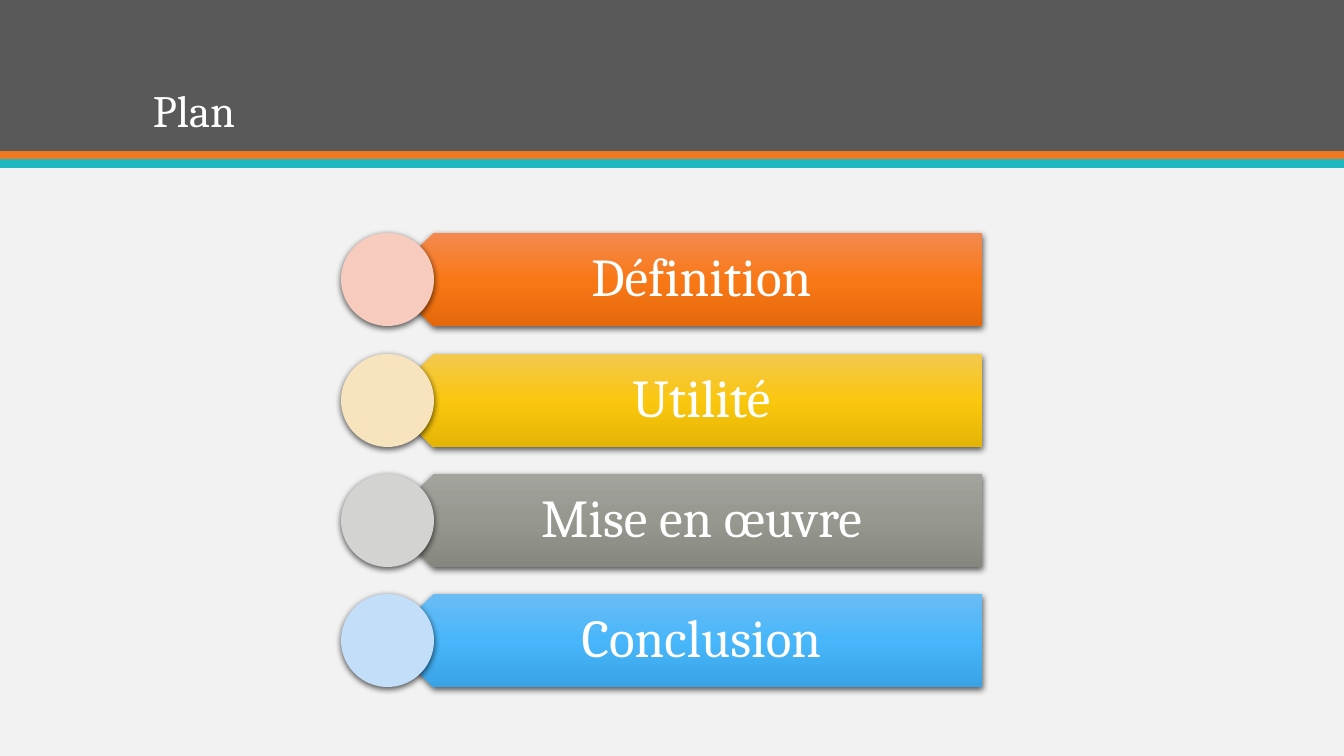
import dataclasses

import pptx
import pptx.dml.color
import pptx.enum.shapes
import pptx.enum.text
import pptx.oxml
import pptx.oxml.ns
import pptx.util

SHAPE = pptx.enum.shapes.MSO_SHAPE
ANCHOR = pptx.enum.text.MSO_ANCHOR
ALIGN = pptx.enum.text.PP_ALIGN


@dataclasses.dataclass(frozen=True)
class Theme:
    font: str = "Cambria"
    title_size: int = 32
    item_size: int = 38
    text: str = "FFFFFF"
    background: str = "F2F2F2"
    header: str = "595959"
    upper_stripe: str = "EF7920"
    lower_stripe: str = "1EB8C1"


THEME = Theme()
ITEMS = [
    ("Définition", ("F38950", "F97816", "E5690C"), "F7CBBD"),
    ("Utilité", ("F3C84E", "FAC70E", "E5B506"), "F7E3BD"),
    ("Mise en œuvre", ("A2A39C", "969890", "86887F"), "D3D4D1"),
    ("Conclusion", ("6ABCF5", "48B6FA", "39A3E5"), "C2DEF9"),
]
FIRST_TOP, PITCH, BAR_HEIGHT = 233, 120.5, 93


def px(n):
    return round(n * 914400 / 100.8)


def rgb(value):
    return pptx.dml.color.RGBColor.from_string(value)


def write_text(tf, text, *, size, align, anchor, insets=(10, 5, 10, 5), after=0):
    tf.word_wrap = True
    tf.auto_size = pptx.enum.text.MSO_AUTO_SIZE.NONE
    tf.vertical_anchor = anchor
    tf.margin_left, tf.margin_top, tf.margin_right, tf.margin_bottom = map(px, insets)
    p = tf.paragraphs[0]
    p.alignment = align
    p.line_spacing = 0.9
    p.space_after = pptx.util.Pt(after)
    r = p.add_run()
    r.text = text
    r.font.name = THEME.font
    r.font.size = pptx.util.Pt(size)
    r.font.color.rgb = rgb(THEME.text)


def add_shape(s, kind, x, y, w, h, color):
    sp = s.shapes.add_shape(kind, px(x), px(y), px(w), px(h))
    sp.fill.solid()
    sp.fill.fore_color.rgb = rgb(color)
    sp.line.fill.background()
    sp.shadow.inherit = False
    return sp


def add_shadow(sp):
    effects = sp._element.spPr.find(pptx.oxml.ns.qn("a:effectLst"))
    effects.append(pptx.oxml.parse_xml(
        f'<a:outerShdw {pptx.oxml.ns.nsdecls("a")} blurRad="57150" dist="19050" '
        'dir="5400000" algn="ctr" rotWithShape="0"><a:srgbClr val="000000">'
        '<a:alpha val="63000"/></a:srgbClr></a:outerShdw>'))


def set_gradient(sp, colors):
    stops = "".join(
        f'<a:gs pos="{i * 50000}"><a:srgbClr val="{color}"/></a:gs>'
        for i, color in enumerate(colors))
    gradient = pptx.oxml.parse_xml(
        f'<a:gradFill {pptx.oxml.ns.nsdecls("a")} rotWithShape="0">'
        f'<a:gsLst>{stops}</a:gsLst><a:lin ang="5400000" scaled="0"/></a:gradFill>')
    spPr = sp._element.spPr
    spPr.replace(spPr.find(pptx.oxml.ns.qn("a:solidFill")), gradient)


def add_header(s, text):
    add_shape(s, SHAPE.RECTANGLE, 0, 0, 1344, 151, THEME.header)
    add_shape(s, SHAPE.RECTANGLE, 0, 151, 1344, 9, THEME.upper_stripe)
    add_shape(s, SHAPE.RECTANGLE, 0, 159, 1344, 9, THEME.lower_stripe)
    title = s.shapes.title
    title.left, title.top, title.width, title.height = map(px, (143, 28, 1058, 114))
    write_text(title.text_frame, text, size=THEME.title_size,
               align=ALIGN.LEFT, anchor=ANCHOR.BOTTOM)
    s.shapes._spTree.append(title._element)


def add_item(s, y, text, bar_colors, circle_color):
    bar = add_shape(s, SHAPE.PENTAGON, 387, y, 595, BAR_HEIGHT, bar_colors[1])
    bar.rotation = 180
    set_gradient(bar, bar_colors)
    add_shadow(bar)
    label = s.shapes.add_textbox(px(410), px(y), px(572), px(BAR_HEIGHT))
    write_text(label.text_frame, text, size=THEME.item_size, align=ALIGN.CENTER,
               anchor=ANCHOR.MIDDLE, insets=(41, 16, 30, 16), after=13)
    circle = add_shape(s, SHAPE.OVAL, 341, y, BAR_HEIGHT, BAR_HEIGHT, circle_color)
    add_shadow(circle)


def main():
    prs = pptx.Presentation()
    prs.slide_width, prs.slide_height = px(1344), px(756)
    s = prs.slides.add_slide(prs.slide_layouts[5])
    s.background.fill.solid()
    s.background.fill.fore_color.rgb = rgb(THEME.background)
    add_header(s, "Plan")
    for i, item in enumerate(ITEMS):
        add_item(s, round(FIRST_TOP + i * PITCH), *item)
    prs.save("out.pptx")


if __name__ == "__main__":
    main()
